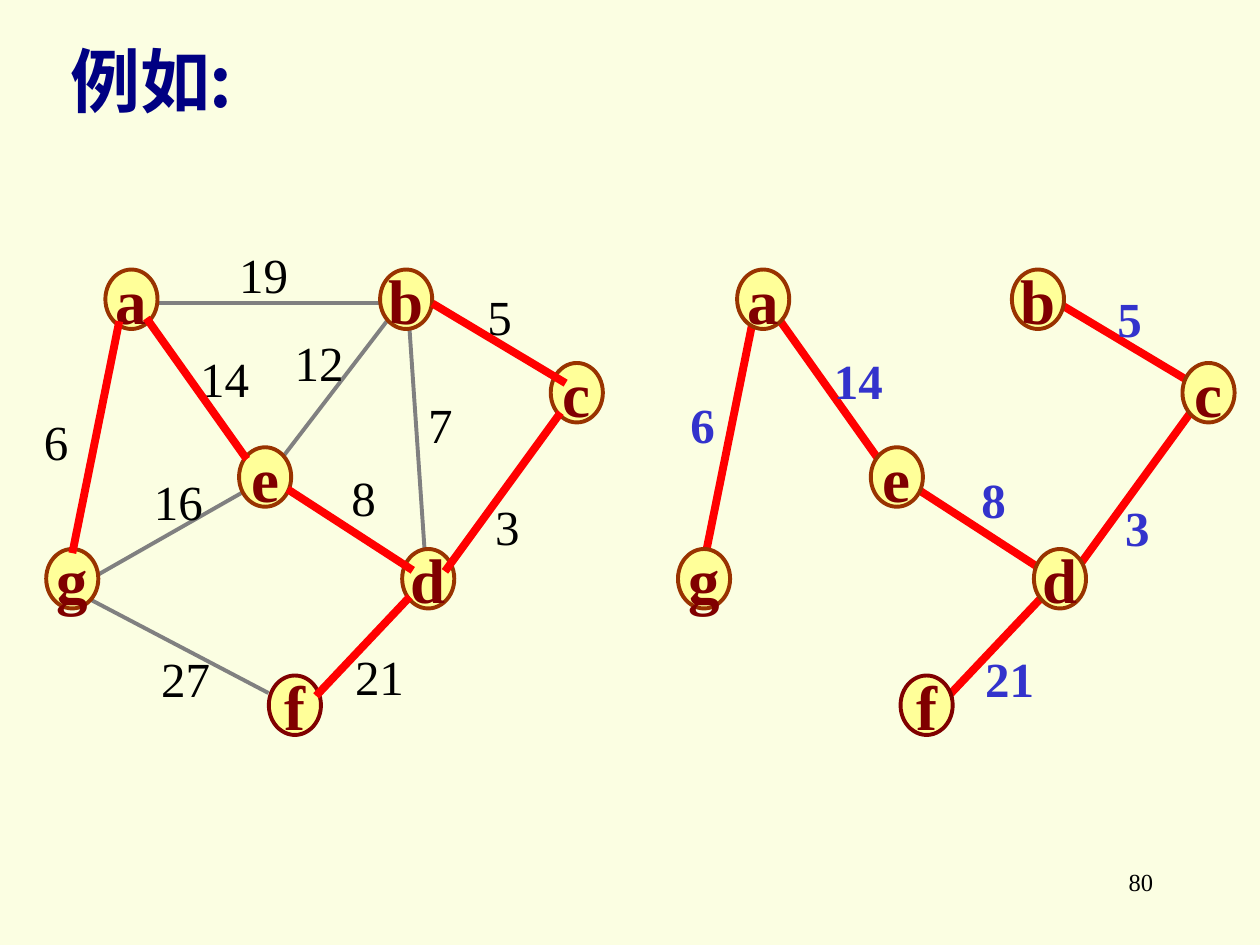
from lxml import etree
from pptx import Presentation
from pptx.dml.color import RGBColor
from pptx.enum import shapes, text
from pptx.oxml import ns
from pptx.util import Pt

SERIF, SANS = "Times New Roman", "Noto Sans CJK SC"
NODE_WIDTH, NODE_HEIGHT, LABEL_HEIGHT = 29.8, 34, 41
TREE_SHIFT = 361

NODES = {
    "a": (60.2, 154), "b": (217.2, 154), "c": (314.7, 207.4), "d": (229.8, 313.7),
    "e": (136.6, 255.6), "f": (153.6, 386), "g": (26.4, 313.7),
}
OTHER_EDGES = [
    (90, 173.2, 217.4, 173.2),
    (221, 183.6, 162, 260.6),
    (56.2, 328.3, 141, 280),
    (234, 188, 242.6, 313.9),
    (51.8, 342.7, 153.4, 396),
]
TREE_EDGES = [
    ((85, 183.6, 139.7, 260.6), 361),
    ((166.3, 280.8, 234, 324.7), 360),
    ((249.1, 174.6, 321.3, 217.8), 358),
    ((319, 237.6, 255.6, 324.7), 360),
    ((232.6, 342.7, 182.2, 396), 361.4),
    ((67.7, 185.8, 41.8, 313.9), 362),
]
GRAPH_LABELS = [
    ("19", 129.6, 136), ("5", 271.4, 160), ("14", 107.3, 195.8), ("6", 18, 231.8),
    ("27", 85, 367.2), ("16", 80.9, 265.7), ("8", 193.7, 263.7), ("21", 195.8, 365.8),
    ("3", 275.8, 280), ("12", 161.3, 186.5), ("7", 237.6, 221.8),
]
TREE_LABELS = [
    ("5", 631.4, 161.3), ("14", 469.4, 196.6), ("8", 553.7, 265), ("21", 555.9, 367.2),
    ("3", 635.8, 280.8), ("6", 387.4, 221.8),
]
TITLE = ("例如:", 33, 18, 127.4, 55.4)
PAGE_NUMBER = ("80", 516.2, 491.8, 149.8, 36)


def color(value):
    return RGBColor.from_string(value)


def write(shape, content, size, ink, bold=False, font=SERIF, align="LEFT", **frame_format):
    frame = shape.text_frame
    for name, value in {"word_wrap": False, **frame_format}.items():
        setattr(frame, name, value)
    paragraph = frame.paragraphs[0]
    paragraph.alignment = getattr(text.PP_ALIGN, align)
    run = paragraph.add_run()
    run.text = content
    for name, value in {"size": Pt(size), "bold": bold, "name": font}.items():
        setattr(run.font, name, value)
    run.font.color.rgb = color(ink)
    etree.SubElement(run.font._element, ns.qn("a:ea"), typeface=font)


def add_text(slide, content, left, top, width, height, **text_format):
    box = slide.shapes.add_textbox(Pt(left), Pt(top), Pt(width), Pt(height))
    write(box, content, **text_format)


def add_edge(slide, ends, ink, weight, shift=0, cap="flat"):
    x1, y1, x2, y2 = ends
    edge = slide.shapes.add_connector(
        shapes.MSO_CONNECTOR.STRAIGHT, Pt(x1 + shift), Pt(y1), Pt(x2 + shift), Pt(y2))
    edge.line.color.rgb = color(ink)
    edge.line.width = Pt(weight)
    properties = edge._element.spPr
    properties.find(ns.qn("a:ln")).set("cap", cap)
    etree.SubElement(properties, ns.qn("a:effectLst"))


def add_labels(slide, labels, ink, bold):
    for weight, left, top in labels:
        add_text(slide, weight, left, top, 14.5 + 14 * len(weight), LABEL_HEIGHT,
                 size=28, ink=ink, bold=bold, auto_size=text.MSO_AUTO_SIZE.SHAPE_TO_FIT_TEXT)


def add_nodes(slide, shift=0):
    for name, (left, top) in NODES.items():
        node = slide.shapes.add_shape(
            shapes.MSO_SHAPE.OVAL, Pt(left + shift), Pt(top), Pt(NODE_WIDTH), Pt(NODE_HEIGHT))
        node.shadow.inherit = False
        node.fill.solid()
        node.fill.fore_color.rgb = color("FFFF99")
        node.line.color.rgb = color("800000" if name == "f" else "993300")
        node.line.width = Pt(2.25)
        write(node, name, 36, "800000", bold=True, align="CENTER",
              vertical_anchor=text.MSO_ANCHOR.MIDDLE)


def main():
    presentation = Presentation()
    presentation.slide_width, presentation.slide_height = Pt(720), Pt(540)
    slide = presentation.slides.add_slide(presentation.slide_layouts[6])
    slide.background.fill.solid()
    slide.background.fill.fore_color.rgb = color("FBFEE2")

    add_text(slide, *TITLE, size=40, ink="000082", bold=True, font=SANS)
    add_text(slide, *PAGE_NUMBER, size=14, ink="000000", align="RIGHT", word_wrap=True)

    for ends in OTHER_EDGES:
        add_edge(slide, ends, "808080", 2.25)
    add_labels(slide, GRAPH_LABELS, "000000", False)
    add_nodes(slide)
    for ends, shift in TREE_EDGES:
        add_edge(slide, ends, "FF0000", 4.5, cap="sq")
    for ends, shift in TREE_EDGES:
        add_edge(slide, ends, "FF0000", 4.5, shift, cap="sq")
    add_labels(slide, TREE_LABELS, "3333CC", True)
    add_nodes(slide, TREE_SHIFT)

    presentation.save("out.pptx")


if __name__ == "__main__":
    main()
